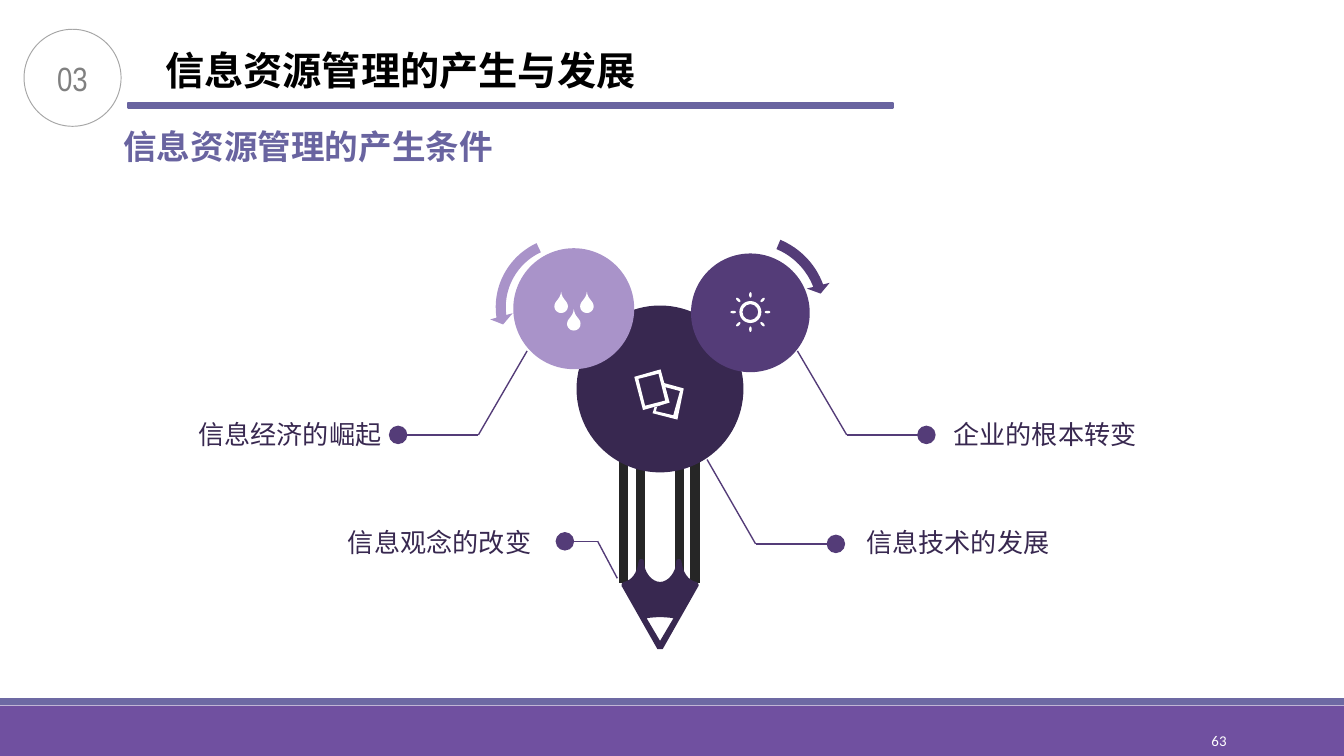
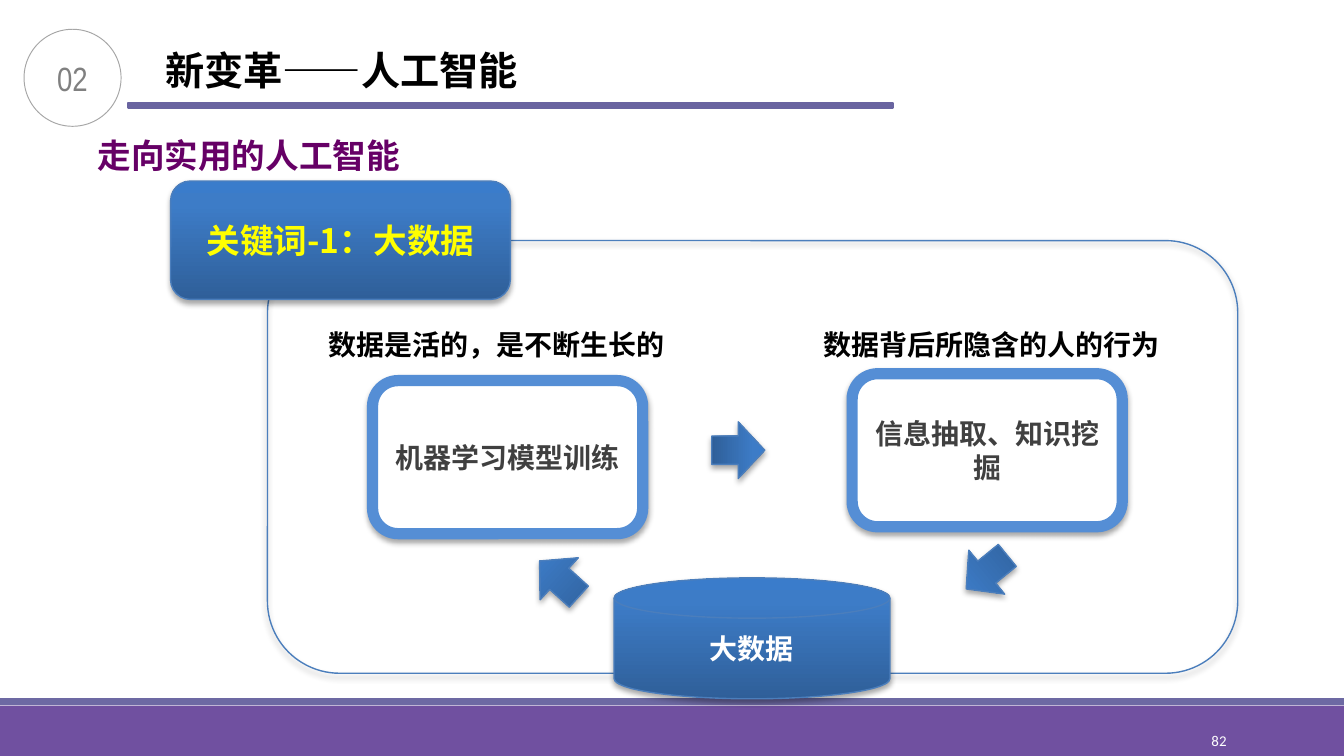
"""Build two slides on information resource management and applied AI."""
from dataclasses import dataclass

from lxml import etree
from pptx import Presentation
from pptx.dml.color import RGBColor
from pptx.enum import shapes, text
from pptx.oxml import parse_xml
from pptx.oxml.ns import nsdecls, qn
from pptx.util import Pt

MSO = shapes.MSO_SHAPE
ALIGN = text.PP_ALIGN
ANCHOR = text.MSO_ANCHOR


@dataclass(frozen=True)
class Theme:
    white: str = "FFFFFF"
    black: str = "000000"
    band: str = "7050A0"
    stripe: str = "6D69A3"
    rule: str = "6964A0"
    badge_line: str = "A6A6A6"
    badge_text: str = "808080"
    heading: str = "660066"
    dark: str = "382850"
    violet: str = "543C78"
    lilac: str = "A993C9"
    pencil: str = "262626"
    blue_line: str = "4B7EBC"
    blue_frame: str = "558ED5"
    box_text: str = "404040"
    yellow: str = "FFFF00"
    gradient: tuple = ((0, "2F5F99"), (80, "3D7CC7"), (100, "3A7CCB"))
    cjk: str = "Noto Sans CJK SC"
    badge_font: str = "Arial Narrow"
    number_font: str = "Calibri"
    title_size: int = 21
    sub_size: int = 18
    box_size: int = 15
    label_size: int = 14
    number_size: int = 8


T = Theme()


def rgb(value):
    return RGBColor.from_string(value)


def write(sp, content, size=T.box_size, color=T.black, font=T.cjk, bold=False,
          align=ALIGN.LEFT, anchor=ANCHOR.TOP, wrap=True, inset=(5.4, 2.7)):
    """Put one formatted paragraph in a shape."""
    tf = sp.text_frame
    tf.word_wrap, tf.vertical_anchor = wrap, anchor
    tf.auto_size = text.MSO_AUTO_SIZE.NONE
    tf.margin_left = tf.margin_right = Pt(inset[0])
    tf.margin_top = tf.margin_bottom = Pt(inset[1])
    p = tf.paragraphs[0]
    p.alignment = align
    r = p.add_run()
    r.text = content
    r.font.name, r.font.size, r.font.bold = font, Pt(size), bold
    r.font.color.rgb = rgb(color)
    etree.SubElement(r._r.get_or_add_rPr(), qn("a:ea"), typeface=font)


def label(slide, box, content, **fmt):
    """Add a text box."""
    write(slide.shapes.add_textbox(*map(Pt, box)), content, **fmt)


def paint(sp, fill=None, line=None, width=0.75):
    """Set a plain fill and outline without shadow."""
    sp.shadow.inherit = False
    if fill:
        sp.fill.solid()
        sp.fill.fore_color.rgb = rgb(fill)
    else:
        sp.fill.background()
    if line:
        sp.line.color.rgb = rgb(line)
        sp.line.width = Pt(width)
    else:
        sp.line.fill.background()


def shape(slide, kind, box, fill=None, line=None, width=0.75, rotation=0, adjust=()):
    """Add a painted preset shape."""
    sp = slide.shapes.add_shape(kind, *map(Pt, box))
    paint(sp, fill, line, width)
    sp.rotation = rotation
    for i, value in enumerate(adjust):
        sp.adjustments[i] = value
    return sp


def circle(slide, x, y, radius, kind=MSO.OVAL, **look):
    """Add a round shape by centre and radius."""
    return shape(slide, kind, (x - radius, y - radius, 2 * radius, 2 * radius), **look)


def raised(slide, kind, box, graded=True, **look):
    """Add a shape with a soft shadow and, if graded, a blue gradient."""
    sp = shape(slide, kind, box, **look)
    props = sp.element.spPr
    if graded:
        stops = "".join(f'<a:gs pos="{pos * 1000}"><a:srgbClr val="{color}"/></a:gs>'
                        for pos, color in T.gradient)
        grad = parse_xml(f'<a:gradFill rotWithShape="1" {nsdecls("a")}><a:gsLst>{stops}'
                         '</a:gsLst><a:lin ang="16200000" scaled="0"/></a:gradFill>')
        props.replace(props.find(qn("a:noFill")), grad)
    props.find(qn("a:effectLst")).append(parse_xml(
        f'<a:outerShdw {nsdecls("a")} blurRad="{Pt(3.1)}" dist="{Pt(1.8)}" dir="5400000" '
        'rotWithShape="0"><a:srgbClr val="000000"><a:alpha val="35000"/></a:srgbClr>'
        '</a:outerShdw>'))
    return sp


def connect(slide, start, end, color=T.violet, width=0.75, dot=False):
    """Add a straight line, with a large dot at its end on request."""
    line = slide.shapes.add_connector(
        shapes.MSO_CONNECTOR.STRAIGHT, *map(Pt, (*start, *end)))
    line.line.color.rgb = rgb(color)
    line.line.width = Pt(width)
    if dot:
        etree.SubElement(line.line._get_or_add_ln(), qn("a:tailEnd"),
                         type="oval", w="lg", len="lg")
    etree.SubElement(line.element.spPr, qn("a:effectLst"))


def trace(start, *steps, parts=8):
    """Turn line ends and cubic curves into a list of points."""
    points = [start]
    for step in steps:
        if len(step) == 2:
            points.append(step)
            continue
        ends = (*points[-1], *step)
        for i in range(1, parts + 1):
            t = i / parts
            weights = ((1 - t) ** 3, 3 * t * (1 - t) ** 2, 3 * t * t * (1 - t), t ** 3)
            points.append(tuple(sum(w * v for w, v in zip(weights, ends[axis::2]))
                                for axis in (0, 1)))
    return points


def symmetric(half):
    """Close a left half outline with its mirror about x = 0."""
    return half + [(-x, y) for x, y in reversed(half)]


def shift(points, dx, dy=0):
    return [(x + dx, y + dy) for x, y in points]


def outline(slide, contours, fill):
    """Add one freeform made of closed contours."""
    builder = None
    for contour in contours:
        first, *rest = [(Pt(x), Pt(y)) for x, y in contour]
        if builder is None:
            builder = slide.shapes.build_freeform(*first, scale=1.0)
        else:
            builder.move_to(*first)
        builder.add_line_segments(rest, close=True)
    paint(builder.convert_to_shape(), fill)


def add_bands(slide):
    """Place the bottom bands on the layout that the slides share."""
    for box, fill in (((0, 378, 720, 27), T.band), ((0, 374, 720, 3.8), T.stripe)):
        sp = shape(slide, MSO.RECTANGLE, box, fill=fill)
        slide.slide_layout.shapes.element.append(sp.element)


def new_slide(prs, section, title, number):
    """Add a slide with badge, title, rule and page number."""
    slide = prs.slides.add_slide(prs.slide_layouts[5])
    label(slide, (584.6, 386, 78, 21.6), number, size=T.number_size, color=T.white,
          font=T.number_font, align=ALIGN.RIGHT, anchor=ANCHOR.MIDDLE)
    shape(slide, MSO.RECTANGLE, (68.6, 55.2, 409.7, 2.4), fill=T.rule, line=T.rule, width=1.25)
    badge = circle(slide, 38.9, 41.7, 26, line=T.badge_line, width=0.5)
    write(badge, section, size=T.sub_size, color=T.badge_text, font=T.badge_font,
          align=ALIGN.CENTER, anchor=ANCHOR.MIDDLE)
    sp = slide.shapes.title
    sp.left, sp.top, sp.width, sp.height = map(Pt, (83, 22.3, 267, 31))
    write(sp, title, size=T.title_size, bold=True, wrap=False)
    return slide


def draw_pencil(slide, axis):
    """Draw the pencil's bars and tip around a vertical axis."""
    for offset, top in ((-19.5, 242), (18.8, 242), (-10.4, 236.5), (10.6, 236.5)):
        connect(slide, (axis + offset, top), (axis + offset, top + 70.5), T.pencil, 5)
    tip = symmetric(trace(
        (-1.4, 347.8), (-20.2, 314.6), (-20.9, 313.9, -20.9, 312.5, -19.4, 311.8),
        (-15.1, 311, -12.2, 306.7, -11.5, 301), (-11.5, 299, -8.6, 299, -8.6, 301),
        (-8.6, 306.7, -4.3, 311.8, 0, 311.8)))
    lead = trace((-7.2, 331.2), (-2.2, 330.5, 2.2, 330.5, 7.2, 331.2), (0, 343.4))
    outline(slide, [shift(tip, axis), shift(lead, axis)], T.dark)


def draw_drops(slide):
    drop = symmetric(trace((0, 0), (-0.4, 4.3, -3.6, 5, -3.6, 7.9),
                           (-3.6, 10.1, -1.8, 11.5, 0, 11.5)))
    tops = ((300.6, 156.2), (314.4, 156.2), (307.4, 165.6))
    outline(slide, [shift(drop, *top) for top in tops], T.white)


def draw_sun(slide, x, y):
    """Draw a ring with eight rays."""
    circle(slide, x, y, 5.9, MSO.DONUT, fill=T.white, adjust=(0.14,))
    ray = 9.2
    diagonal = ray * 0.5 ** 0.5
    places = ((ray, 0), (diagonal, diagonal), (0, ray), (-diagonal, diagonal))
    for i, (dx, dy) in enumerate(places):
        for side in (1, -1):
            shape(slide, MSO.OVAL, (x + side * dx - 1.5, y + side * dy - 0.7, 3, 1.4),
                  fill=T.white, rotation=45 * i)


def draw_cards(slide):
    outline(slide, [
        [(339.8, 201.9), (353.9, 197.9), (358.7, 215.7), (344.5, 219.7)],
        [(342, 203), (352.8, 200.2), (356.4, 214.6), (345.6, 217.4)]], T.white)
    outline(slide, [
        [(355.7, 205.2), (366.3, 208.1), (362.9, 224.8), (349.6, 221.4),
         (350.6, 218.2), (358.6, 215.6)],
        [(360.7, 222.5), (351.4, 220.3), (352.1, 217.4), (358.6, 215.6),
         (356.4, 207.4), (364.3, 209.5)]], T.white)


def conditions_slide(prs):
    """Build the slide on the conditions behind the field."""
    slide = new_slide(prs, "03", "信息资源管理的产生与发展", "63")
    add_bands(slide)
    draw_pencil(slide, 353.6)
    shape(slide, MSO.CIRCULAR_ARROW, (357.1, 121.7, 90, 90), fill=T.violet, rotation=117.5,
          adjust=(0.06, 3.941, 133.138, 105.082, 0.07))
    circle(slide, 353.6, 208.4, 44.7, fill=T.dark)
    circle(slide, 307.4, 165.4, 32.4, fill=T.lilac)
    circle(slide, 402, 167.6, 31.8, fill=T.violet)
    shape(slide, MSO.LEFT_CIRCULAR_ARROW, (262.1, 123.1, 83.5, 82.8), fill=T.lilac,
          rotation=357.1, adjust=(0.065, 4.3, 104.891, 148.378, 0.075))
    draw_drops(slide)
    draw_sun(slide, 402, 167.2)
    draw_cards(slide)
    leaders = (
        ("信息经济的崛起", (282.4, 188), (256.3, 233), 213.3, (100.8, 221.8), ALIGN.LEFT),
        ("企业的根本转变", (427.2, 188), (453.6, 233), 496.3, (505.4, 222), ALIGN.LEFT),
        ("信息技术的发展", (378.8, 246.2), (404.8, 291.4), 447.8, (458.6, 280), ALIGN.LEFT),
        ("信息观念的改变", (330.7, 309.8), (320.2, 290), 302.6, (180.7, 280), ALIGN.RIGHT))
    for content, start, corner, dot_x, place, align in leaders:
        connect(slide, start, corner)
        connect(slide, corner, (dot_x, corner[1]), dot=True)
        label(slide, (*place, 109.4, 22.3), content, size=T.label_size, color=T.dark,
              align=align, wrap=False, inset=(5.4, 2.2))
    label(slide, (59, 64.1, 214.6, 28.8), "信息资源管理的产生条件", size=T.sub_size,
          color=T.rule, bold=True, align=ALIGN.JUSTIFY, wrap=False, inset=(7.2, 3.6))


def big_data_slide(prs):
    """Build the slide on big data as a cycle."""
    slide = new_slide(prs, "02", "新变革——人工智能", "82")
    label(slide, (46.8, 69.8, 357, 27.4), "走向实用的人工智能", size=T.sub_size,
          color=T.heading, bold=True)
    centred = dict(bold=True, align=ALIGN.CENTER, anchor=ANCHOR.MIDDLE)
    raised(slide, MSO.ROUNDED_RECTANGLE, (143.3, 128.9, 519.8, 231.8), graded=False,
           line=T.blue_line)
    keyword = raised(slide, MSO.ROUNDED_RECTANGLE, (91.4, 97, 182, 63.4), line=T.blue_line)
    write(keyword, "关键词-1：大数据", size=T.sub_size, color=T.yellow, **centred)
    for x, y, content in ((199.6, 203.9, "机器学习模型训练"), (456.5, 200.2, "信息抽取、知识挖掘")):
        box = raised(slide, MSO.ROUNDED_RECTANGLE, (x, y, 144.7, 82), graded=False,
                     fill=T.white, line=T.blue_frame, width=6)
        write(box, content, color=T.box_text, **centred)
    disk = raised(slide, MSO.FLOWCHART_MAGNETIC_DISK, (329, 309.6, 147.8, 64.8),
                  line=T.blue_line)
    write(disk, "大数据", color=T.white, **centred)
    for x, y, angle in ((284.4, 295.9, 312.2), (513.4, 292.3, 230.8), (380.3, 227, 90)):
        raised(slide, MSO.UP_ARROW, (x, y, 30.4, 28.4), line=T.blue_line, rotation=angle)
    for x, content in ((435.6, "数据背后所隐含的人的行为"), (170.6, "数据是活的，是不断生长的")):
        label(slide, (x, 172.8, 202.3, 23.8), content, bold=True, wrap=False)


def main():
    prs = Presentation()
    prs.slide_width, prs.slide_height = Pt(720), Pt(405)
    conditions_slide(prs)
    big_data_slide(prs)
    prs.save("out.pptx")


if __name__ == "__main__":
    main()
